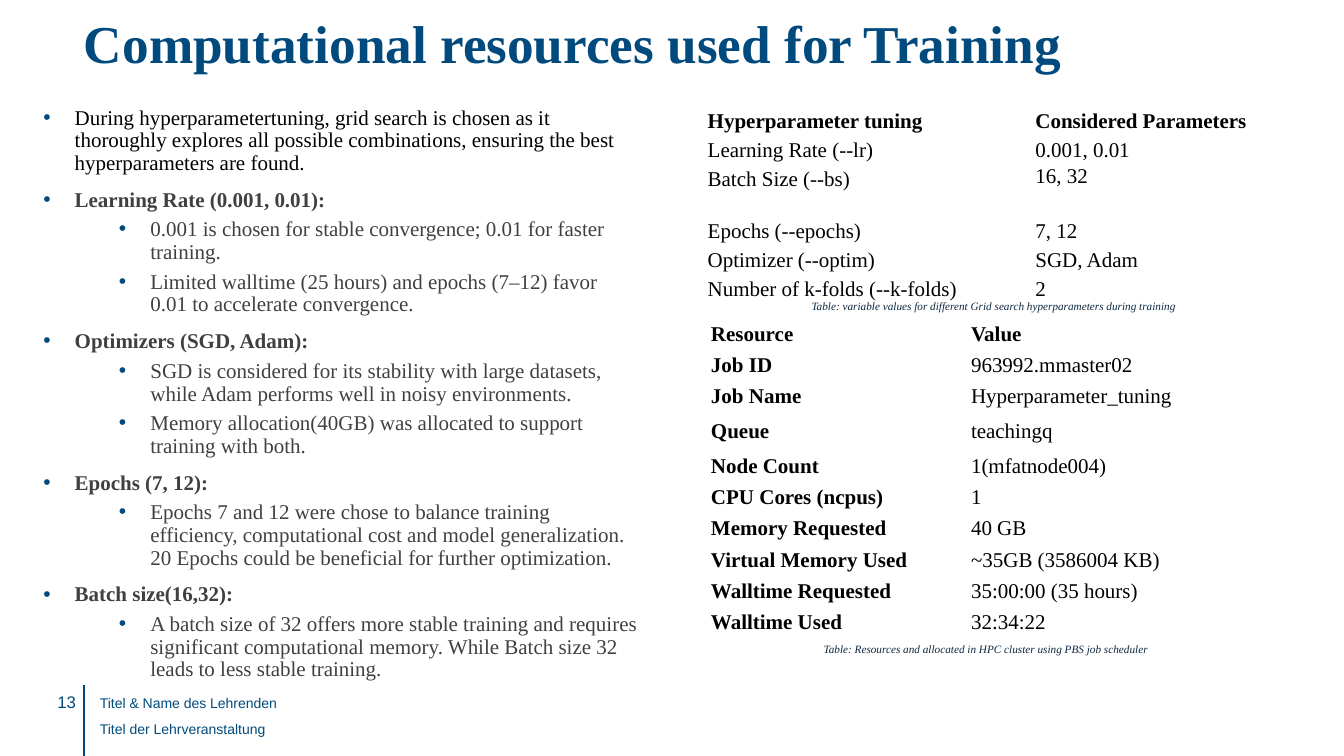
from lxml.etree import SubElement
from pptx import Presentation
from pptx.dml.color import RGBColor
from pptx.enum.shapes import MSO_CONNECTOR as Connector
from pptx.enum.text import MSO_ANCHOR as Anchor, PP_ALIGN as Align
from pptx.oxml.ns import qn
from pptx.util import Inches, Pt

THEME = {
    "blue": "004A7D", "black": "000000", "gray": "404040", "navy": "0E2841",
    "serif": "Times New Roman", "sans": "Arial",
    "title": 38, "body": 15, "number": 12, "footer": 10, "caption": 8,
}

deck = Presentation()
deck.slide_width, deck.slide_height = Inches(13.33), Inches(7.5)
page = deck.slides.add_slide(deck.slide_layouts[6])
# The grid has 100 columns and 100 rows.
COLUMN, ROW = deck.slide_width / 100, deck.slide_height / 100


def write(frame, text, size="body", color="black", font="serif", bold=False, italic=False,
          align=Align.LEFT, line=1, before=0, margin=0, indent=0, level=0, bullet=False):
    """Fill the frame's empty first paragraph, or append one; indents are in columns."""
    para = frame.paragraphs[0] if not frame.text else frame.add_paragraph()
    para.alignment, para.line_spacing, para.level = align, line, level
    para.space_before = Pt(before)
    settings = para._p.get_or_add_pPr()
    settings.set("marL", str(round(margin * COLUMN)))
    settings.set("indent", str(round(indent * COLUMN)))
    if bullet:
        bullet_color = SubElement(settings, qn("a:buClr"))
        SubElement(bullet_color, qn("a:srgbClr"), val=THEME["blue"])
        SubElement(settings, qn("a:buFont"), typeface=THEME["sans"])
        SubElement(settings, qn("a:buChar"), char="•")
    span = para.add_run()
    span.text = text
    span.font.name, span.font.size = THEME[font], Pt(THEME[size])
    span.font.bold, span.font.italic = bold, italic
    span.font.color.rgb = RGBColor.from_string(THEME[color])


def add_box(left, top, width, height, insets=(0, 0, 0, 0.67)):
    """Add a wrapping text box in grid units; insets run left, top, right, bottom."""
    box = page.shapes.add_textbox(round(left * COLUMN), round(top * ROW),
                                  round(width * COLUMN), round(height * ROW))
    frame = box.text_frame
    frame.word_wrap = True
    frame.margin_left, frame.margin_right = (round(inset * COLUMN) for inset in insets[::2])
    frame.margin_top, frame.margin_bottom = (round(inset * ROW) for inset in insets[1::2])
    return frame


# Footer
rule_x = round(6.25 * COLUMN)
rule = page.shapes.add_connector(Connector.STRAIGHT, rule_x, deck.slide_height,
                                 rule_x, round(90.67 * ROW))
rule.line.color.rgb = RGBColor.from_string(THEME["blue"])
rule.line.width = Pt(0.75)
SubElement(rule._element.spPr, qn("a:effectLst"))

write(add_box(1.6, 91.47, 4.05, 5.33), "13", size="number", color="blue", font="sans",
      align=Align.RIGHT)
footer = add_box(7.43, 90.8, 56.33, 7.73)
for text in ("Titel & Name des Lehrenden", "Titel der Lehrveranstaltung"):
    write(footer, text, size="footer", color="blue", font="sans", line=1.5)

# Reasons for each hyperparameter
body = add_box(3.22, 13.47, 44.33, 80.27, insets=(0, 0.67, 0, 0.67))
write(body, "During hyperparametertuning, grid search is chosen as it thoroughly explores all "
      "possible combinations, ensuring the best hyperparameters are found.",
      line=0.9, margin=2.34, indent=-2.34, bullet=True)
reasons = {
    "Learning Rate (0.001, 0.01):": [
        "0.001 is chosen for stable convergence; 0.01 for faster training.",
        "Limited walltime (25 hours) and epochs (7–12) favor 0.01 to accelerate convergence.",
    ],
    "Optimizers (SGD, Adam):": [
        "SGD is considered for its stability with large datasets, while Adam performs well in "
        "noisy environments.",
        "Memory allocation(40GB) was allocated to support training with both.",
    ],
    "Epochs (7, 12):": [
        "Epochs 7 and 12 were chose to balance training efficiency, computational cost and "
        "model generalization. 20 Epochs could be beneficial for further optimization.",
    ],
    "Batch size(16,32):": [
        "A batch size of 32 offers more stable training and requires significant computational "
        "memory. While Batch size 32 leads to less stable training.",
    ],
}
for heading, points in reasons.items():
    write(body, heading, color="gray", bold=True, line=0.9, before=10,
          margin=2.34, indent=-2.34, bullet=True)
    for point in points:
        write(body, point, color="gray", line=0.9, before=5,
              margin=7.97, indent=-2.34, level=1, bullet=True)

# Tables
tuning = {
    "at": (52.13, 14.13), "columns": (24.38, 19.5), "rows": (3.6, 3.6, 6.8, 2.8, 2.67, 3.6),
    "inset": (0.53, 0), "anchor": Anchor.TOP, "line": 1.15, "bold_labels": False,
    "cells": [
        ("Hyperparameter tuning", "Considered Parameters"),
        ("Learning Rate (--lr)", "0.001, 0.01"),
        ("Batch Size (--bs)", "16, 32"),
        ("Epochs (--epochs)", "7, 12"),
        ("Optimizer (--optim)", "SGD, Adam"),
        ("Number of k-folds (--k-folds)", "2"),
    ],
}
resources = {
    "at": (52.43, 42.13), "columns": (19.35, 24.23), "rows": [4.05] * 3 + [5.07] + [4.05] * 6,
    "inset": (0.47, 0.4), "anchor": Anchor.MIDDLE, "line": 1, "bold_labels": True,
    "cells": [
        ("Resource", "Value"),
        ("Job ID", "963992.mmaster02"),
        ("Job Name", "Hyperparameter_tuning"),
        ("Queue", "teachingq"),
        ("Node Count", "1(mfatnode004)"),
        ("CPU Cores (ncpus)", "1"),
        ("Memory Requested", "40 GB"),
        ("Virtual Memory Used", "~35GB (3586004 KB)"),
        ("Walltime Requested", "35:00:00 (35 hours)"),
        ("Walltime Used", "32:34:22"),
    ],
}
for plan in (tuning, resources):
    left, top = plan["at"]
    table = page.shapes.add_table(
        len(plan["rows"]), len(plan["columns"]), round(left * COLUMN), round(top * ROW),
        round(sum(plan["columns"]) * COLUMN), round(sum(plan["rows"]) * ROW)).table
    table.first_row = table.horz_banding = False
    for column, width in zip(table.columns, plan["columns"]):
        column.width = round(width * COLUMN)
    for row, height in zip(table.rows, plan["rows"]):
        row.height = round(height * ROW)
    side, edge = plan["inset"]
    for row_index, texts in enumerate(plan["cells"]):
        for column_index, text in enumerate(texts):
            cell = table.cell(row_index, column_index)
            cell.fill.background()
            cell.vertical_anchor = plan["anchor"]
            cell.margin_left = cell.margin_right = round(side * COLUMN)
            cell.margin_top = cell.margin_bottom = round(edge * ROW)
            write(cell.text_frame, text, line=1 if text == "16, 32" else plan["line"],
                  bold=row_index == 0 or (plan["bold_labels"] and column_index == 0))

captions = [
    ((53.03, 84.27, 42.53, 3.2),
     "Table: Resources and allocated in HPC cluster using PBS job scheduler"),
    ((52.13, 38.93, 39.75, 3.2),
     "Table: variable values for different Grid search hyperparameters during training"),
]
for area, text in captions:
    write(add_box(*area, insets=(0.75, 0.67, 0.75, 0.67)), text, size="caption", color="navy",
          italic=True, margin=3.75, indent=3.75)

# Title
write(add_box(6.25, 2.27, 86.25, 11.07, insets=(0, 0, 0.75, 0.67)),
      "Computational resources used for Training", size="title", color="blue", bold=True, line=0.9)

deck.save("out.pptx")
